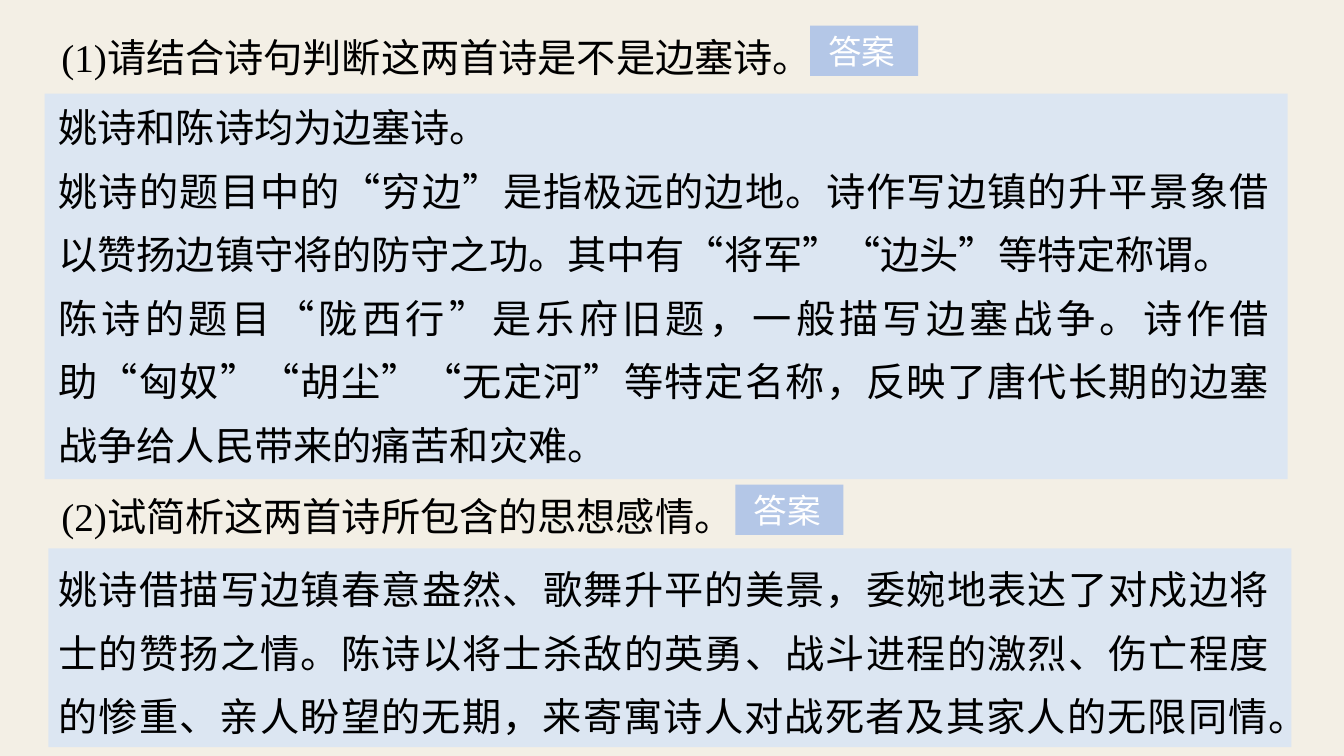
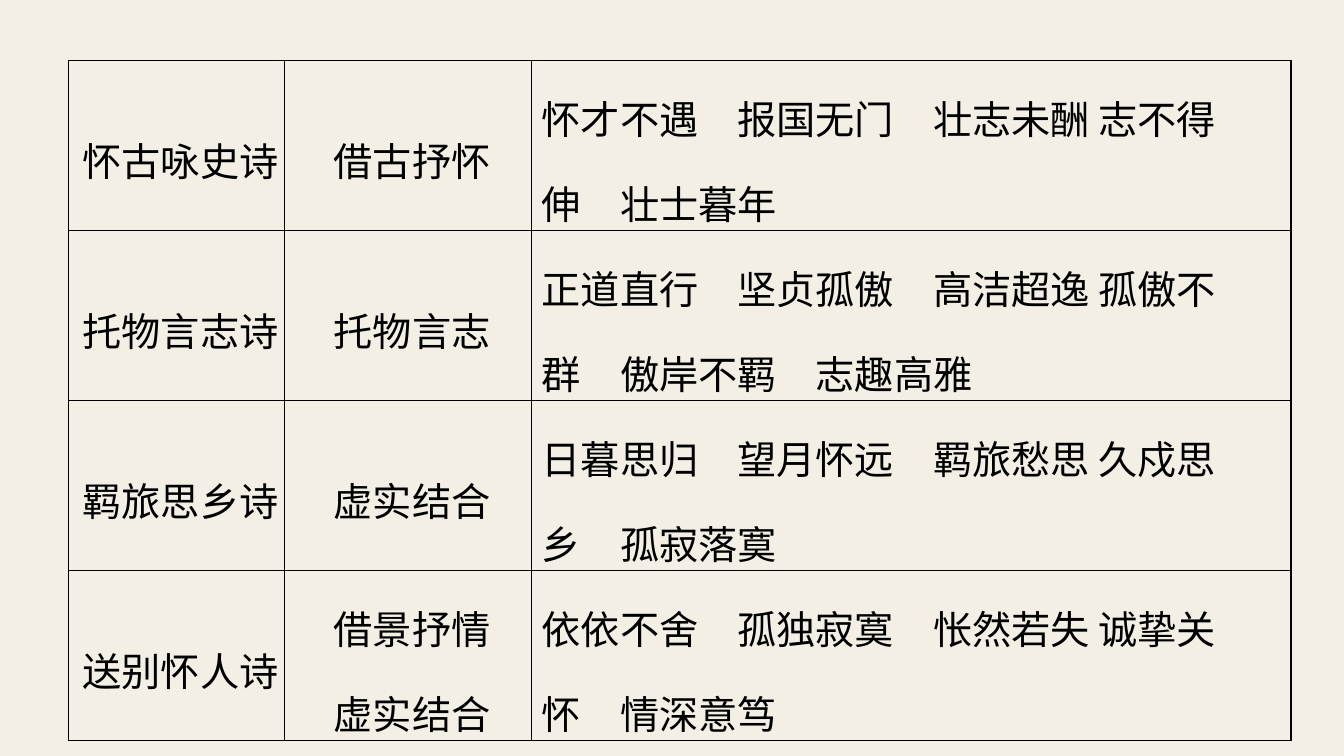
from dataclasses import dataclass
from itertools import groupby

from lxml import etree
from pptx import Presentation
from pptx import util as u
from pptx.dml.color import RGBColor
from pptx.enum import lang, shapes, text
from pptx.oxml.ns import qn

# The slide is a grid of 32 columns by 18 square rows.
SLIDE_WIDTH, SLIDE_HEIGHT = u.Inches(13.33), u.Inches(7.5)
COLUMNS, ROWS = 32, 18

PAPER, PANEL, BADGE = "F3EFE5", "DCE6F2", "B4C7E7"
INK, WHITE = "000000", "FFFFFF"
SERIF, SANS, CJK = "Times New Roman", "Arial", "Noto Sans CJK SC"
BODY_SIZE, BADGE_SIZE = 28, 24
QUESTION_SPACING, ANSWER_SPACING, TABLE_SPACING = 1.5, 1.35, 1.5

TEXT_LEFT, TEXT_WIDTH = 1.08, 29.45
QUESTION_LEFT, QUESTION_HEIGHT = 1.15, 1.8
BADGE_WIDTH, BADGE_HEIGHT, BADGE_DROP = 2.57, 1.2, 0.54
PANEL_WIDTH = 29.6

LEFT, CENTER, JUSTIFY = (
    text.PP_ALIGN.LEFT, text.PP_ALIGN.CENTER, text.PP_ALIGN.JUSTIFY)


@dataclass(frozen=True)
class Box:
    """A place on the slide, in grid columns and rows."""
    column: float
    row: float
    width: float
    height: float

    def emu(self) -> tuple[int, int, int, int]:
        return (across(self.column), down(self.row),
                across(self.width), down(self.height))


@dataclass(frozen=True)
class Exercise:
    question: str
    question_row: float
    badge_column: float
    panel: Box
    answer_row: float
    answer_height: float
    answer: tuple[str, ...]


@dataclass(frozen=True)
class PoemKind:
    name: str
    techniques: tuple[str, ...]
    feelings: str


EXERCISES = (
    Exercise(
        "(1)请结合诗句判断这两首诗是不是边塞诗。", 0.07, 19.29,
        Box(1.06, 2.23, PANEL_WIDTH, 9.18), 1.9, 9.31,
        ("姚诗和陈诗均为边塞诗。",
         "姚诗的题目中的“穷边”是指极远的边地。诗作写边镇的升平景象借"
         "以赞扬边镇守将的防守之功。其中有“将军”“边头”等特定称谓。",
         "陈诗的题目“陇西行”是乐府旧题，一般描写边塞战争。诗作借"
         "助“匈奴”“胡尘”“无定河”等特定名称，反映了唐代长期的边塞"
         "战争给人民带来的痛苦和灾难。")),
    Exercise(
        "(2)试简析这两首诗所包含的思想感情。", 11, 17.51,
        Box(1.15, 13.06, PANEL_WIDTH, 4.73), 12.91, 4.73,
        ("姚诗借描写边镇春意盎然、歌舞升平的美景，委婉地表达了对戍边将"
         "士的赞扬之情。陈诗以将士杀敌的英勇、战斗进程的激烈、伤亡程度"
         "的惨重、亲人盼望的无期，来寄寓诗人对战死者及其家人的无限同情。",)),
)

POEM_KINDS = (
    PoemKind("怀古咏史诗", ("借古抒怀",),
             "怀才不遇　报国无门　壮志未酬 志不得伸　壮士暮年"),
    PoemKind("托物言志诗", ("托物言志",),
             "正道直行　坚贞孤傲　高洁超逸 孤傲不群　傲岸不羁　志趣高雅"),
    PoemKind("羁旅思乡诗", ("虚实结合",),
             "日暮思归　望月怀远　羁旅愁思 久戍思乡　孤寂落寞"),
    PoemKind("送别怀人诗", ("借景抒情", "虚实结合"),
             "依依不舍　孤独寂寞　怅然若失 诚挚关怀　情深意笃"),
)
KIND_COLUMNS = (5.14, 5.89, 18.08)
KIND_ALIGNMENTS = (CENTER, CENTER, LEFT)
KIND_HEIGHT = 4.05


def across(columns: float) -> int:
    return round(SLIDE_WIDTH * columns / COLUMNS)


def down(rows: float) -> int:
    return round(SLIDE_HEIGHT * rows / ROWS)


def color(hex_code: str) -> RGBColor:
    return RGBColor.from_string(hex_code)


def add_run(paragraph, words: str, size: float, face: str, ink: str) -> None:
    run = paragraph.add_run()
    run.text = words
    font = run.font
    font.size, font.name = u.Pt(size), face
    font.color.rgb = color(ink)
    font.language_id = lang.MSO_LANGUAGE_ID.SIMPLIFIED_CHINESE
    latin = run._r.rPr.find(qn("a:latin"))
    latin.addnext(latin.makeelement(qn("a:ea"), {"typeface": CJK}))


def write(frame, paragraphs: tuple[str, ...], alignment, spacing: float,
          indent: float = 0) -> None:
    """Fill a frame with body text; curly quotes take the full-width face."""
    for index, words in enumerate(paragraphs):
        paragraph = frame.add_paragraph() if index else frame.paragraphs[0]
        paragraph.alignment = alignment
        paragraph.line_spacing = spacing
        paragraph.space_before = paragraph.space_after = u.Pt(0)
        properties = paragraph._p.get_or_add_pPr()
        properties.set("hangingPunct", "1")
        if indent:
            properties.set("marL", str(u.Inches(indent)))
            properties.set("indent", "0")
        for quoted, letters in groupby(words, lambda letter: letter in "“”"):
            add_run(paragraph, "".join(letters), BODY_SIZE,
                    CJK if quoted else SERIF, INK)


def write_block(block, box: Box, paragraphs: tuple[str, ...],
                spacing: float) -> None:
    block.left, block.top, block.width, block.height = box.emu()
    frame = block.text_frame
    frame.word_wrap = True
    frame.auto_size = text.MSO_AUTO_SIZE.SHAPE_TO_FIT_TEXT
    frame.vertical_anchor = text.MSO_ANCHOR.TOP
    frame.margin_left = frame.margin_right = u.Inches(0.13)
    frame.margin_top = frame.margin_bottom = u.Inches(0.07)
    write(frame, paragraphs, JUSTIFY, spacing)


def add_rectangle(slide, box: Box, fill: str):
    rectangle = slide.shapes.add_shape(
        shapes.MSO_SHAPE.RECTANGLE, *box.emu())
    rectangle.shadow.inherit = False
    rectangle.fill.solid()
    rectangle.fill.fore_color.rgb = color(fill)
    rectangle.line.fill.background()
    return rectangle


def add_badge(slide, column: float, row: float) -> None:
    badge = add_rectangle(
        slide, Box(column, row, BADGE_WIDTH, BADGE_HEIGHT), BADGE)
    frame = badge.text_frame
    frame.margin_left = u.Inches(0.18)
    frame.vertical_anchor = text.MSO_ANCHOR.MIDDLE
    label = frame.paragraphs[0]
    label.alignment = LEFT
    add_run(label, "答案", BADGE_SIZE, SANS, WHITE)


def add_exercise(slide, exercise: Exercise, question) -> None:
    write_block(question,
                Box(QUESTION_LEFT, exercise.question_row,
                    TEXT_WIDTH, QUESTION_HEIGHT),
                (exercise.question,), QUESTION_SPACING)
    add_rectangle(slide, exercise.panel, PANEL)
    answer_box = Box(TEXT_LEFT, exercise.answer_row,
                     TEXT_WIDTH, exercise.answer_height)
    write_block(slide.shapes.add_textbox(*answer_box.emu()), answer_box,
                exercise.answer, ANSWER_SPACING)
    add_badge(slide, exercise.badge_column,
              exercise.question_row + BADGE_DROP)


def outline_cell(cell) -> None:
    properties = cell._tc.get_or_add_tcPr()
    for position, side in enumerate(("lnL", "lnR", "lnT", "lnB")):
        border = etree.Element(qn(f"a:{side}"), w=str(u.Pt(1)))
        fill = etree.SubElement(border, qn("a:solidFill"))
        etree.SubElement(fill, qn("a:srgbClr"), val=INK)
        properties.insert(position, border)


def add_kind_table(slide) -> None:
    box = Box(1.63, 1.44, sum(KIND_COLUMNS), KIND_HEIGHT * len(POEM_KINDS))
    table = slide.shapes.add_table(
        len(POEM_KINDS), len(KIND_COLUMNS), *box.emu()).table
    table.first_row = table.horz_banding = False
    for column, width in zip(table.columns, KIND_COLUMNS):
        column.width = across(width)
    for row, kind in zip(table.rows, POEM_KINDS):
        row.height = down(KIND_HEIGHT)
        contents = ((kind.name,), kind.techniques, (kind.feelings,))
        for cell, paragraphs, alignment in zip(
                row.cells, contents, KIND_ALIGNMENTS):
            cell.fill.background()
            cell.vertical_anchor = text.MSO_ANCHOR.MIDDLE
            cell.margin_left = cell.margin_right = u.Inches(0.02)
            cell.margin_top = cell.margin_bottom = 0
            write(cell.text_frame, paragraphs, alignment,
                  TABLE_SPACING, indent=0.08)
            outline_cell(cell)


def main() -> None:
    deck = Presentation()
    deck.slide_width, deck.slide_height = SLIDE_WIDTH, SLIDE_HEIGHT
    paper = deck.slide_master.background.fill
    paper.solid()
    paper.fore_color.rgb = color(PAPER)
    title_only, blank = deck.slide_layouts[5], deck.slide_layouts[6]

    exercise_slide = deck.slides.add_slide(title_only)
    first, second = EXERCISES
    add_exercise(exercise_slide, first, exercise_slide.shapes.title)
    add_exercise(exercise_slide, second,
                 exercise_slide.shapes.add_textbox(0, 0, 0, 0))

    add_kind_table(deck.slides.add_slide(blank))
    deck.save("out.pptx")


if __name__ == "__main__":
    main()
